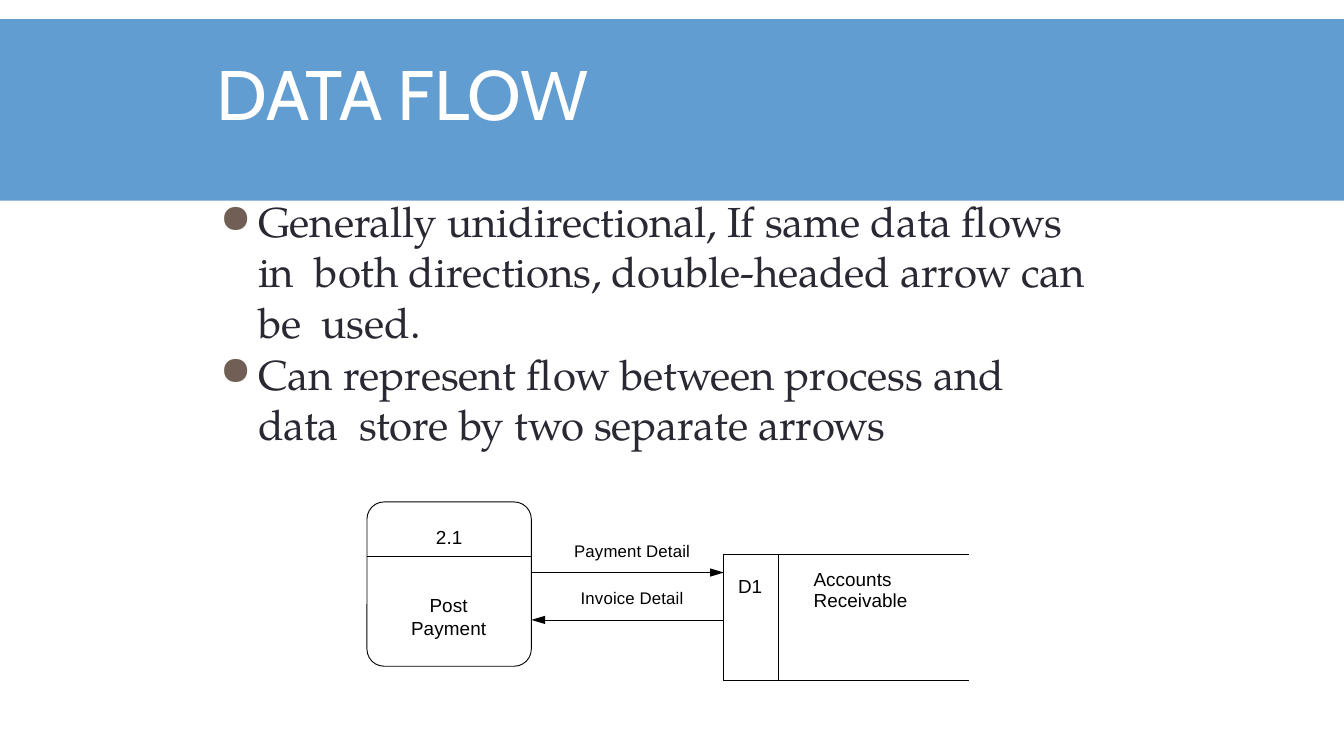
from lxml.etree import SubElement
from pptx import Presentation
from pptx.dml.color import RGBColor
from pptx.enum.shapes import MSO_CONNECTOR as Connector, MSO_SHAPE as Shape
from pptx.enum.text import MSO_ANCHOR as Anchor, MSO_AUTO_SIZE as AutoSize, PP_ALIGN as Align
from pptx.oxml.ns import qn
from pptx.util import Inches, Pt

NO_GRID_STYLE = "{2D5ABB26-0587-4C30-8999-92F81FD0307C}"


def color(value):
    return RGBColor.from_string(value)


class FlowSlide:
    """Holds the style and the current slide, and draws each kind of element."""

    band_color, ink, body_color, bullet_color = "629DD1", "000000", "292934", "715F55"
    title_font, body_font, label_font = "Cabin", "TeX Gyre Pagella", "Arial"
    label_size = 13.5

    def __init__(self, presentation):
        self.slide = presentation.slides.add_slide(presentation.slide_layouts[5])
        self.shapes = self.slide.shapes

    def format_runs(self, paragraph, font, size, value, spacing):
        for run in paragraph.runs:
            run.font.name = font
            run.font.size = Pt(size)
            run.font.color.rgb = color(value)
            run.font._element.set("spc", str(spacing))

    def prepare_frame(self, frame):
        frame.word_wrap = True
        frame.auto_size = AutoSize.NONE
        frame.margin_left = frame.margin_right = frame.margin_bottom = 0
        frame.margin_top = Inches(0.01)

    def band(self, top, width, height):
        band = self.shapes.add_shape(Shape.RECTANGLE, 0, Inches(top), Inches(width), Inches(height))
        band.shadow.inherit = False
        band.fill.solid()
        band.fill.fore_color.rgb = color(self.band_color)
        band.line.fill.background()
        self.shapes._spTree.insert(2, band._element)

    def title(self, text, left, top, width, height):
        title = self.shapes.title
        title.left, title.top = Inches(left), Inches(top)
        title.width, title.height = Inches(width), Inches(height)
        frame = title.text_frame
        frame.text = text
        self.prepare_frame(frame)
        frame.vertical_anchor = Anchor.MIDDLE
        paragraph = frame.paragraphs[0]
        paragraph.alignment = Align.LEFT
        self.format_runs(paragraph, self.title_font, 50, "FFFFFF", -15)

    def text_box(self, text, left, top, width, height):
        box = self.shapes.add_textbox(Inches(left), Inches(top), Inches(width), Inches(height))
        box.text_frame.text = text
        self.prepare_frame(box.text_frame)
        return box.text_frame.paragraphs

    def bullets(self, items, left, top, width, height):
        paragraphs = self.text_box("\n".join(items), left, top, width, height)
        for paragraph in paragraphs:
            properties = paragraph._p.get_or_add_pPr()
            properties.set("marL", str(Inches(0.39)))
            properties.set("indent", str(-Inches(0.38)))
            bullet_color = SubElement(properties, qn("a:buClr"))
            SubElement(bullet_color, qn("a:srgbClr"), val=self.bullet_color)
            SubElement(properties, qn("a:buSzPct"), val="95000")
            SubElement(properties, qn("a:buChar"), char="●")
            self.format_runs(paragraph, self.body_font, 30, self.body_color, -10)
        for paragraph in paragraphs[1:]:
            paragraph.space_before = Pt(1)

    def label(self, text, left, top, width, height, size=label_size):
        for paragraph in self.text_box(text, left, top, width, height):
            paragraph.alignment = Align.CENTER
            self.format_runs(paragraph, self.label_font, size, self.ink, 10)

    def process(self, left, top, side, radius):
        process = self.shapes.add_shape(
            Shape.ROUNDED_RECTANGLE, Inches(left), Inches(top), Inches(side), Inches(side))
        process.shadow.inherit = False
        process.adjustments[0] = radius / side
        process.fill.solid()
        process.fill.fore_color.rgb = color("FFFFFF")
        process.line.color.rgb = color(self.ink)
        process.line.width = Pt(0.66)

    def line(self, start, end, y, weight, arrow=False):
        line = self.shapes.add_connector(
            Connector.STRAIGHT, Inches(start), Inches(y), Inches(end), Inches(y))
        line.line.color.rgb = color(self.ink)
        line.line.width = Pt(weight)
        if arrow:
            SubElement(line.line._get_or_add_ln(), qn("a:tailEnd"), type="triangle", w="med", len="lg")
        SubElement(line._element.spPr, qn("a:effectLst"))

    def borders(self, cell, edges):
        properties = cell._tc.get_or_add_tcPr()
        for edge, weight in edges.items():
            border = SubElement(properties, qn(f"a:ln{edge}"), w=str(Pt(weight)))
            fill = SubElement(border, qn("a:solidFill"))
            SubElement(fill, qn("a:srgbClr"), val=self.ink)
        SubElement(properties, qn("a:noFill"))

    def data_store(self, left, top, widths, heights, entries):
        frame = self.shapes.add_table(
            len(heights), len(widths), Inches(left), Inches(top),
            Inches(sum(widths)), Inches(sum(heights)))
        table = frame.table
        table.first_row = table.horz_banding = False
        table._tbl.tblPr.find(qn("a:tableStyleId")).text = NO_GRID_STYLE
        for column, width in zip(table.columns, widths):
            column.width = Inches(width)
        for row, height in zip(table.rows, heights):
            row.height = Inches(height)
            self.borders(row.cells[0], {"R": 0.75})
        for index, (text, indent, margin_top, edges) in enumerate(entries, 1):
            cell = table.cell(0, index)
            cell.merge(table.cell(len(heights) - 1, index))
            cell.text_frame.text = text
            cell.margin_left, cell.margin_top = Inches(indent), Inches(margin_top)
            cell.margin_right = cell.margin_bottom = 0
            self.format_runs(cell.text_frame.paragraphs[0], self.label_font, self.label_size, self.ink, 5)
            self.borders(cell, edges)


def main():
    presentation = Presentation()
    presentation.slide_width, presentation.slide_height = Inches(13.33), Inches(7.5)
    page = FlowSlide(presentation)
    page.band(0.19, 13.33, 1.8)
    page.title("DATA FLOW", 2.15, 0.48, 3.95, 0.86)
    page.bullets([
        "Generally unidirectional, If same data flows in  both directions, "
        "double-headed arrow can be  used.",
        "Can represent flow between process and data  store by two separate arrows",
    ], 2.17, 1.93, 8.66, 2.55)

    process_left, process_side, store_left = 3.64, 1.63, 7.18
    process_right = process_left + process_side
    page.process(process_left, 4.98, process_side, 0.17)
    page.line(process_left, process_right, 5.52, 0.33)
    page.label("2.1", process_left, 5.2, process_side, 0.25)
    page.label("Post Payment", 4.01, 5.88, 0.88, 0.46)

    page.data_store(5.39, 5.5, [1.79, 0.54, 1.89], [0.65, 0.6], [
        ("D1", 0.14, 0.22, {"L": 0.75, "R": 0.5, "T": 0.75, "B": 0.75}),
        ("Accounts Receivable", 0.35, 0.15, {"L": 0.5, "T": 0.75, "B": 0.75}),
    ])
    page.line(process_right, store_left, 5.68, 0.29, arrow=True)
    page.line(store_left, process_right, 6.15, 0.5, arrow=True)
    page.label("Payment Detail", 5.67, 5.35, 1.2, 0.22, 12)
    page.label("Invoice Detail", 5.67, 5.82, 1.2, 0.22, 12)
    presentation.save("out.pptx")


if __name__ == "__main__":
    main()
